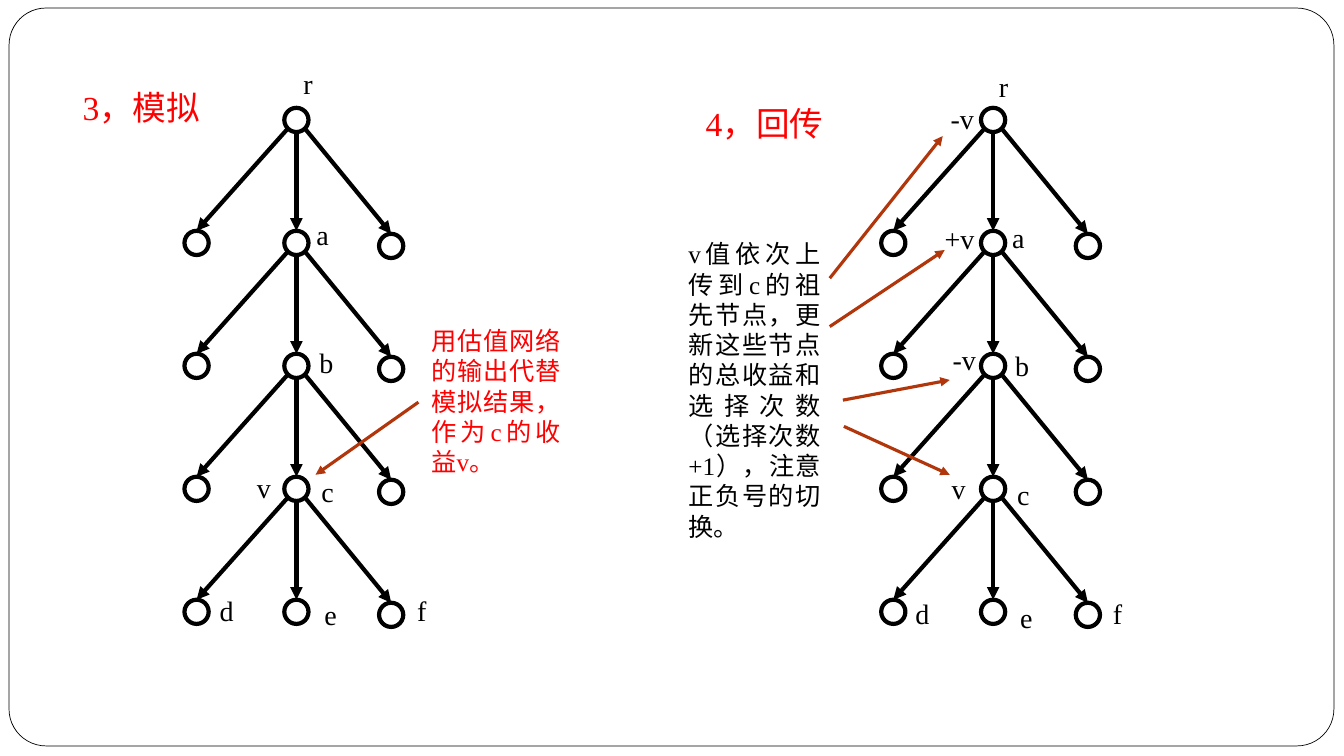
from pptx import Presentation
from pptx import util as u
from pptx.dml import color
from pptx.enum import shapes, text
from pptx.oxml import ns
from lxml import etree

BLACK, RED, RUST = "000000", "FF0000", "B1360B"
FONT = "Times New Roman"
LEVELS, TOP, STEP = 5, 1.19, 1.22
RADIUS, EDGE = 0.12, 0.08
FORKS = [(-0.99, 0), (0, 0), (0.94, 0.03)]
NAMES = [("r", 2.91, 0.61), ("a", 3.04, 2.11), ("b", 3.07, 3.38),
         ("c", 3.09, 4.66), ("d", 2.08, 5.84), ("e", 3.12, 5.88),
         ("f", 4.04, 5.84)]


def paint(code):
    return color.RGBColor.from_string(code)


class Board:
    def __init__(self, slide):
        self.items = slide.shapes

    def shape(self, kind, x, y, w, h, width, fill=None):
        item = self.items.add_shape(kind, *map(u.Inches, (x, y, w, h)))
        item.shadow.inherit = False
        if fill:
            item.fill.solid()
            item.fill.fore_color.rgb = paint(fill)
        else:
            item.fill.background()
        item.line.color.rgb = paint(BLACK)
        item.line.width = u.Pt(width)
        return item

    def frame(self):
        item = self.shape(shapes.MSO_SHAPE.ROUNDED_RECTANGLE,
                          0.09, 0.08, 13.14, 7.32, 0.5, "FFFFFF")
        item.adjustments[0] = 0.05

    def node(self, x, y):
        self.shape(shapes.MSO_SHAPE.OVAL, x - RADIUS, y - RADIUS,
                   2 * RADIUS, 2 * RADIUS, 3)

    def arrow(self, start, end, shade=BLACK, width=3):
        item = self.items.add_connector(
            shapes.MSO_CONNECTOR.STRAIGHT, *map(u.Inches, (*start, *end)))
        item.line.color.rgb = paint(shade)
        item.line.width = u.Pt(width)
        tip = etree.SubElement(item.line._get_or_add_ln(), ns.qn("a:tailEnd"))
        tip.set("type", "triangle")
        etree.SubElement(item._element.spPr, ns.qn("a:effectLst"))

    def label(self, words, x, y, w=0.44, h=0.44, size=20, shade=BLACK,
              align=text.PP_ALIGN.LEFT):
        box = self.items.add_textbox(*map(u.Inches, (x, y, w, h)))
        body = box.text_frame
        body.word_wrap = True
        body.auto_size = text.MSO_AUTO_SIZE.SHAPE_TO_FIT_TEXT
        para = body.paragraphs[0]
        para.text = words
        para.alignment = align
        para.font.name = FONT
        para.font.size = u.Pt(size)
        para.font.color.rgb = paint(shade)

    def note(self, words, x, y, w, h, shade):
        self.label(words, x, y, w, h, 18, shade, text.PP_ALIGN.JUSTIFY)

    def title(self, words, x, y):
        self.label(words, x, y, 1.41, 0.5, 24, RED)

    def tree(self, x, shift, drop):
        self.node(x, TOP)
        for level in range(LEVELS - 1):
            y = TOP + level * STEP
            for dx, dy in FORKS:
                low = y + STEP + dy
                side = (dx > 0) - (dx < 0)
                start = (x + side * EDGE, y + (EDGE if side else RADIUS))
                self.node(x + dx, low)
                self.arrow(start, (x + dx, low - RADIUS))
        for name, left, top in NAMES:
            self.label(name, left + shift, top + drop)


def main():
    deck = Presentation()
    deck.slide_width, deck.slide_height = u.Inches(13.33), u.Inches(7.5)
    board = Board(deck.slides.add_slide(deck.slide_layouts[6]))
    board.frame()

    board.tree(9.85, 6.9, 0.03)
    for sign, x, y, w in [("v", 9.34, 4.63, 0.44), ("-v", 9.35, 3.35, 0.44),
                          ("+v", 9.27, 2.15, 0.52), ("-v", 9.33, 0.96, 0.44)]:
        board.label(sign, x, y, w)
    board.note("v值依次上传到c的祖先节点，更新这些节点的总收益和选择次数"
               "（选择次数+1），注意正负号的切换。",
               6.73, 2.32, 1.51, 3.13, BLACK)
    for start, end in [((8.37, 4.23), (9.42, 4.71)),
                       ((8.36, 3.97), (9.42, 3.77)),
                       ((8.23, 3.24), (9.37, 2.48)),
                       ((8.23, 2.76), (9.35, 1.35))]:
        board.arrow(start, end, RUST, 2.25)

    board.tree(2.94, 0, 0)
    board.label("v", 2.45, 4.62)
    board.arrow((4.15, 3.99), (3.13, 4.71), RUST, 2.25)
    board.note("用估值网络的输出代替模拟结果，作为c的收益v。",
               4.18, 3.18, 1.48, 1.62, RED)
    board.title("4，回传", 6.9, 0.97)
    board.title("3，模拟", 0.72, 0.81)
    deck.save("out.pptx")


if __name__ == "__main__":
    main()
